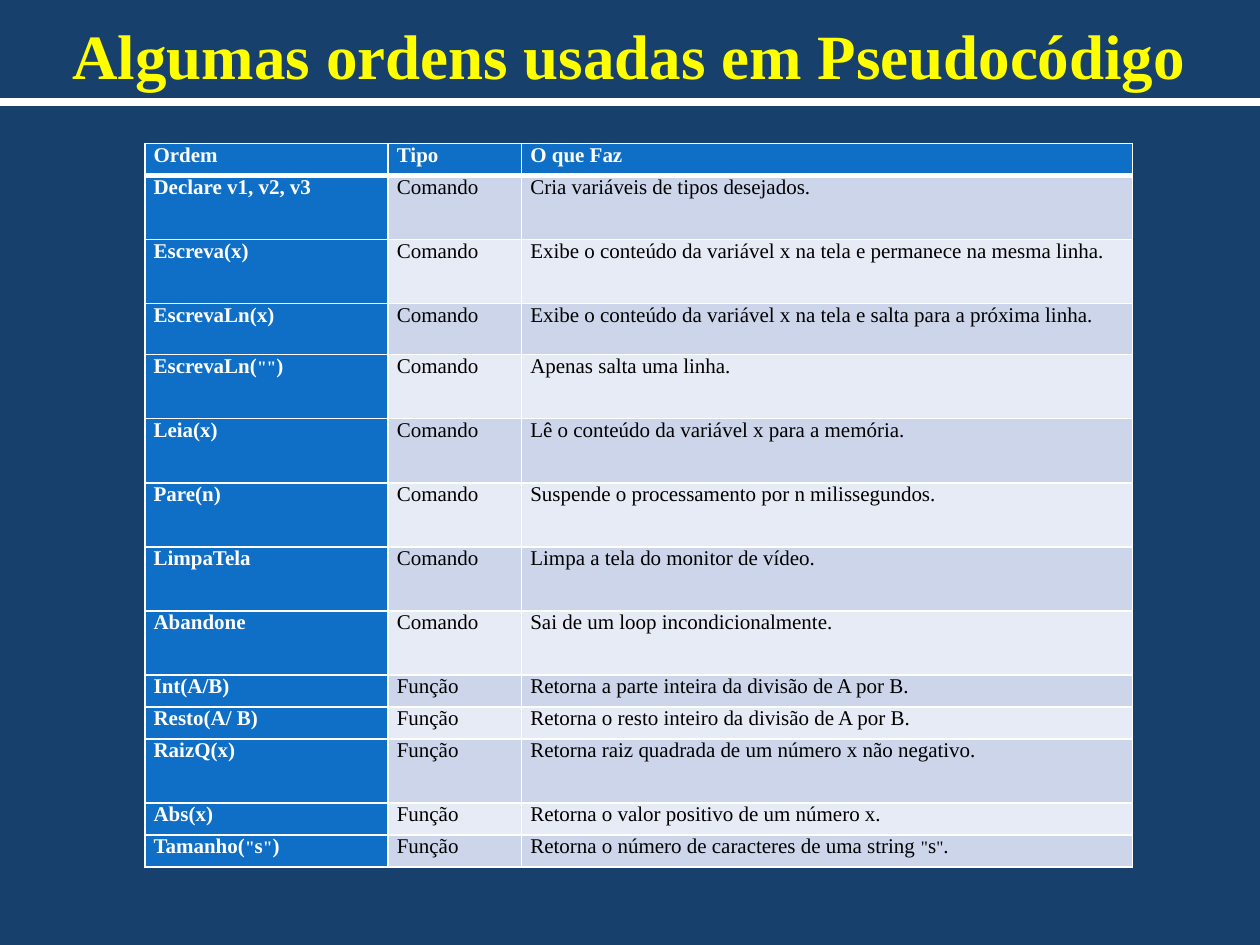
import pptx
import pptx.dml.color
import pptx.enum.shapes
import pptx.enum.text
import pptx.oxml.ns
import pptx.util
from lxml import etree

Pt = pptx.util.Pt
RGB = pptx.dml.color.RGBColor.from_string
qn = pptx.oxml.ns.qn
ALIGN = pptx.enum.text.PP_ALIGN

COLORS = {
    "background": "17406D",
    "title": "FFFF00",
    "accent": "0F6FC6",
    "band_dark": "CCD5EA",
    "band_light": "E7EBF5",
    "white": "FFFFFF",
    "black": "000000",
}


def write_text(frame, text, size=12, color="black", bold=False,
               align=ALIGN.JUSTIFY, quote_size=None):
    """Write one paragraph; straight quotes may have their own size."""
    paragraph = frame.paragraphs[0]
    paragraph.alignment = align
    pieces = text.replace('"', '\n"\n').split("\n") if quote_size else [text]
    for piece in filter(None, pieces):
        run = paragraph.add_run()
        run.text = piece
        run.font.name = "Times New Roman"
        run.font.size = Pt(quote_size if quote_size and piece == '"' else size)
        run.font.bold = bold
        run.font.color.rgb = RGB(COLORS[color])


def add_border(cell, side, width):
    properties = cell._tc.get_or_add_tcPr()
    line = etree.SubElement(properties, qn(f"a:ln{side}"), w=str(Pt(width)))
    fill = etree.SubElement(line, qn("a:solidFill"))
    etree.SubElement(fill, qn("a:srgbClr"), val=COLORS["white"])


presentation = pptx.Presentation()
presentation.slide_width = Pt(720)
presentation.slide_height = Pt(540)
slide = presentation.slides.add_slide(presentation.slide_layouts[6])
slide.background.fill.solid()
slide.background.fill.fore_color.rgb = RGB(COLORS["background"])

# Table of commands and functions
SHORT, MEDIUM, TALL = 18.3, 29.2, 36.6
orders = [
    ("Ordem", "Tipo", "O que Faz", SHORT),
    ("Declare v1, v2, v3", "Comando", "Cria variáveis de tipos desejados.", TALL),
    ("Escreva(x)", "Comando",
     "Exibe o conteúdo da variável x na tela e permanece na mesma linha.", TALL),
    ("EscrevaLn(x)", "Comando",
     "Exibe o conteúdo da variável x na tela e salta para a próxima linha.", MEDIUM),
    ('EscrevaLn("")', "Comando", "Apenas salta uma linha.", TALL),
    ("Leia(x)", "Comando", "Lê o conteúdo da variável x para a memória.", TALL),
    ("Pare(n)", "Comando", "Suspende o processamento por n milissegundos.", TALL),
    ("LimpaTela", "Comando", "Limpa a tela do monitor de vídeo.", TALL),
    ("Abandone", "Comando", "Sai de um loop incondicionalmente.", TALL),
    ("Int(A/B)", "Função", "Retorna a parte inteira da divisão de A por B.", SHORT),
    ("Resto(A/ B)", "Função", "Retorna o resto inteiro da divisão de A por B.", SHORT),
    ("RaizQ(x)", "Função", "Retorna raiz quadrada de um número x não negativo.", TALL),
    ("Abs(x)", "Função", "Retorna o valor positivo de um número x.", SHORT),
    ('Tamanho("s")', "Função",
     'Retorna o número de caracteres de uma string "s".', SHORT),
]
column_widths = [139, 76.3, 349.2]
table = slide.shapes.add_table(
    len(orders), len(column_widths), Pt(82.8), Pt(82),
    Pt(sum(column_widths)), Pt(sum(order[-1] for order in orders))).table
table.first_row = True
table.horz_banding = False
for column, width in zip(table.columns, column_widths):
    column.width = Pt(width)

for row_index, (*texts, height) in enumerate(orders):
    table.rows[row_index].height = Pt(height)
    for column_index, text in enumerate(texts):
        cell = table.cell(row_index, column_index)
        cell.margin_left = cell.margin_right = Pt(5)
        cell.margin_top = cell.margin_bottom = 0
        heading = row_index == 0 or column_index == 0
        for side in "LRTB":
            under_header = (row_index, side) in ((0, "B"), (1, "T"))
            add_border(cell, side, 3 if under_header else 1)
        band = "band_dark" if row_index % 2 else "band_light"
        cell.fill.solid()
        cell.fill.fore_color.rgb = RGB(COLORS["accent" if heading else band])
        write_text(cell.text_frame, text, color="white" if heading else "black",
                   bold=heading, quote_size=10)

# Title
title = slide.shapes.add_textbox(Pt(9.4), Pt(4.3), Pt(700), Pt(51.8))
title.text_frame.word_wrap = True
title.text_frame.vertical_anchor = pptx.enum.text.MSO_ANCHOR.BOTTOM
write_text(title.text_frame, "Algumas ordens usadas em Pseudocódigo",
           size=36, color="title", bold=True, align=ALIGN.CENTER)

# Rule below the title
rule = slide.shapes.add_connector(
    pptx.enum.shapes.MSO_CONNECTOR.STRAIGHT, 0, Pt(58.3), Pt(720), Pt(58.3))
rule.line.color.rgb = RGB(COLORS["white"])
rule.line.width = Pt(4.5)
etree.SubElement(rule._element.spPr, qn("a:effectLst"))

presentation.save("out.pptx")
